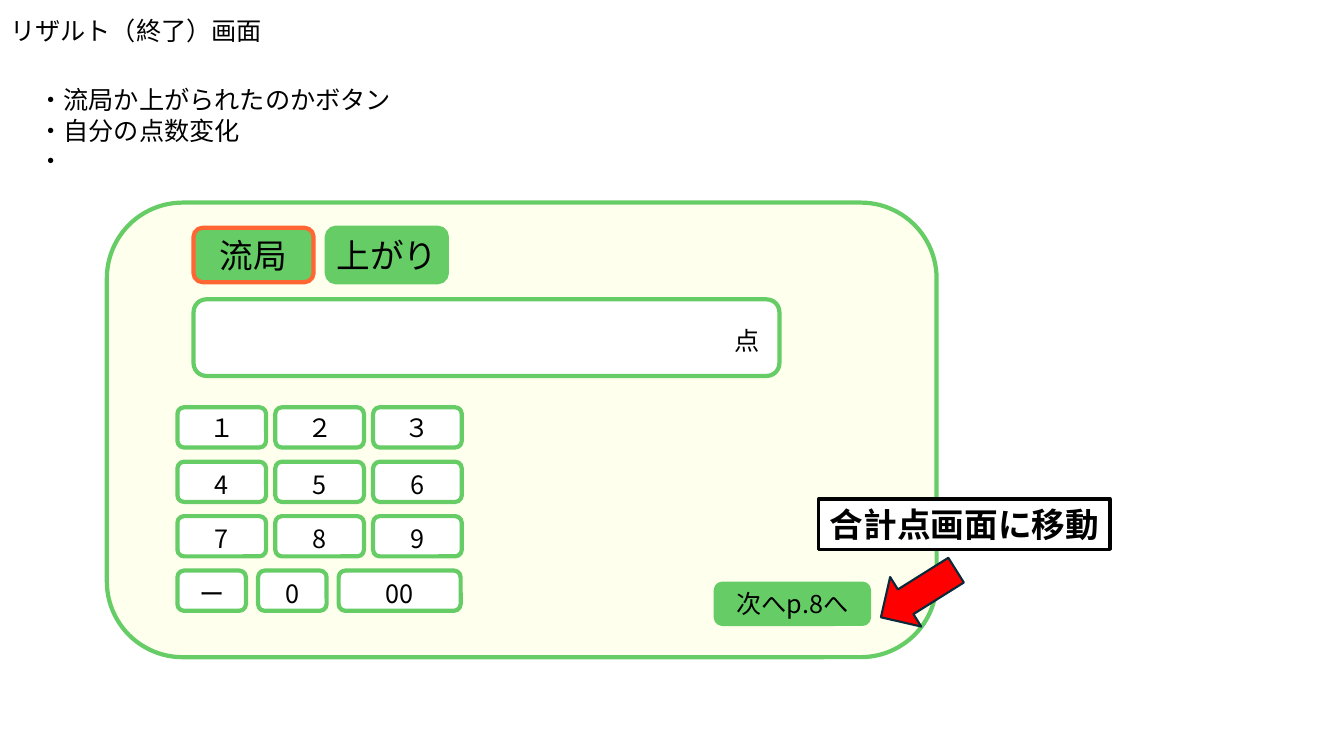
from lxml.etree import SubElement
from pptx import Presentation
from pptx.dml.color import RGBColor
from pptx.enum.shapes import MSO_SHAPE
from pptx.enum.text import MSO_ANCHOR, MSO_AUTO_SIZE, PP_ALIGN
from pptx.oxml.ns import qn
from pptx.util import Inches, Pt

TITLE = "リザルト（終了）画面"
NOTES = ["・流局か上がられたのかボタン", "・自分の点数変化", "・"]
TABS = [("流局", "FF6633"), ("上がり", "66CC66")]
UNIT = "点"
NEXT = "次へp.8へ"
CALL = "合計点画面に移動"

FONT = "Noto Sans CJK JP"
GREEN, CREAM, WHITE, BLACK = "66CC66", "FFFFEE", "FFFFFF", "000000"

# Boxes are left, top, width, height in percent of the slide
TITLE_BOX = (0, 1.33, 20.48, 5.33)
NOTES_BOX = (2.1, 10.53, 28.06, 13.47)
PANEL_BOX = (7.95, 26.8, 61.74, 60.13)
SCORE_BOX = (14.4, 39.6, 43.59, 10.13)
NEXT_BOX = (53.26, 77.2, 11.4, 5.33)
CALL_BOX = (60.92, 66, 21.68, 6.67)
ARROW_BOX = (65.04, 74.67, 6.6, 7.73)
TAB_TOP, TAB_W, TAB_H, TAB_GAP = 30.13, 8.93, 7.2, 0.99

# Each row of keys: labels, widths, gap, drop of the text in inches
KEY_LEFT, KEY_TOP, KEY_H, KEY_STEP = 13.2, 53.87, 5.33, 7.2
KEYS = [
    ("１２３", [6.6] * 3, 0.68, 0),
    ("456", [6.6] * 3, 0.68, 0.05),
    ("789", [6.6] * 3, 0.68, 0.05),
    (["ー", "0", "00"], [5.1, 5.1, 9.08], 0.9, 0.05),
]

deck = Presentation()
deck.slide_width, deck.slide_height = Inches(13.33), Inches(7.5)
slide = deck.slides.add_slide(deck.slide_layouts[1])


def color(code):
    return RGBColor.from_string(code)


def place(box):
    """Turn percent shares into slide lengths."""
    sides = (deck.slide_width, deck.slide_height) * 2
    return [round(part * side / 100) for part, side in zip(box, sides)]


def write(shape, lines, size=18, bold=False, align=PP_ALIGN.CENTER,
          anchor=MSO_ANCHOR.MIDDLE, inset=(0, 0, 0, 0), wrap=True):
    frame = shape.text_frame
    frame.text = "\n".join(lines)
    frame.auto_size = MSO_AUTO_SIZE.NONE
    frame.word_wrap = wrap
    frame.vertical_anchor = anchor
    (frame.margin_left, frame.margin_top,
     frame.margin_right, frame.margin_bottom) = map(Inches, inset)
    for para in frame.paragraphs:
        para.alignment = align
        para.line_spacing = 1.0
        para.space_before = para.space_after = Pt(0)
        for run in para.runs:
            font = run.font
            font.name, font.size, font.bold = FONT, Pt(size), bold
            font.color.rgb = color(BLACK)
            SubElement(font._element, qn("a:ea"), typeface=FONT)


def draw(box, fill, line, width=3, kind=MSO_SHAPE.ROUNDED_RECTANGLE):
    shape = slide.shapes.add_shape(kind, *place(box))
    shape.shadow.inherit = False
    shape.fill.solid()
    shape.fill.fore_color.rgb = color(fill)
    shape.line.color.rgb = color(line)
    shape.line.width = Pt(width)
    return shape


def fill_holder(holder, box, lines):
    holder.left, holder.top, holder.width, holder.height = place(box)
    write(holder, lines, align=PP_ALIGN.LEFT, anchor=MSO_ANCHOR.TOP,
          inset=(0.1, 0.05, 0.1, 0.05), wrap=False)
    for para in holder.text_frame.paragraphs:
        props = para._p.get_or_add_pPr()
        props.set("marL", "0")
        props.set("indent", "0")
        SubElement(props, qn("a:buNone"))


fill_holder(slide.shapes.title, TITLE_BOX, [TITLE])
fill_holder(slide.placeholders[1], NOTES_BOX, NOTES)

draw(PANEL_BOX, CREAM, GREEN)

for i, (label, edge) in enumerate(TABS):
    left = SCORE_BOX[0] + i * (TAB_W + TAB_GAP)
    write(draw((left, TAB_TOP, TAB_W, TAB_H), GREEN, edge), [label], size=24)

write(draw(SCORE_BOX, WHITE, GREEN), [UNIT], align=PP_ALIGN.RIGHT,
      inset=(0, 0.05, 0.16, 0))

for row, (labels, widths, gap, drop) in enumerate(KEYS):
    left = KEY_LEFT
    for label, width in zip(labels, widths):
        key = draw((left, KEY_TOP + row * KEY_STEP, width, KEY_H), WHITE, GREEN)
        write(key, [label], inset=(0, drop, 0, 0))
        left += width + gap

write(draw(NEXT_BOX, GREEN, GREEN), [NEXT], wrap=False)
write(draw(CALL_BOX, WHITE, BLACK, width=2.25, kind=MSO_SHAPE.RECTANGLE),
      [CALL], size=24, bold=True, wrap=False)

arrow = draw(ARROW_BOX, "FF0000", "092A39", width=1.5, kind=MSO_SHAPE.LEFT_ARROW)
arrow.rotation = 327.9

deck.save("out.pptx")
